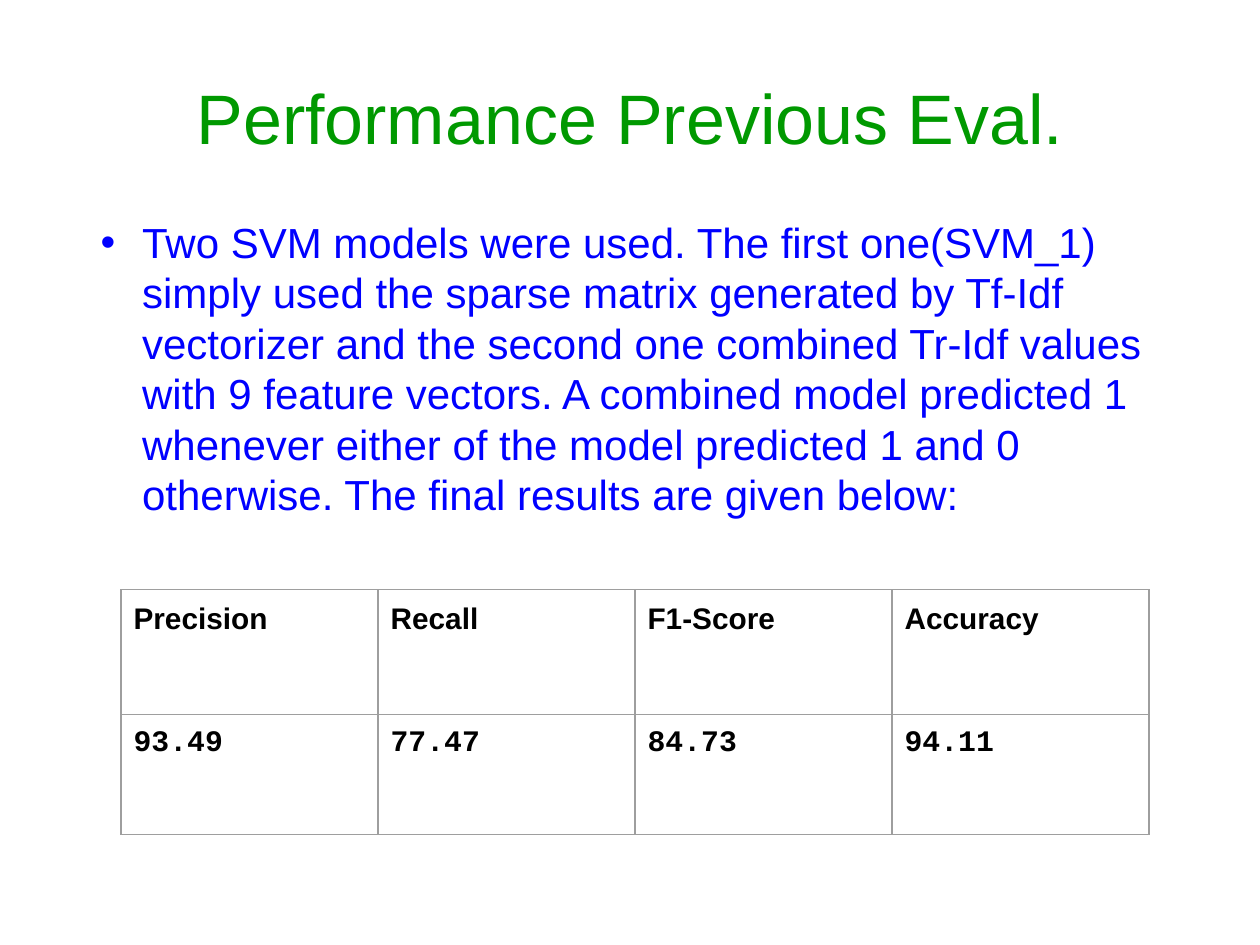
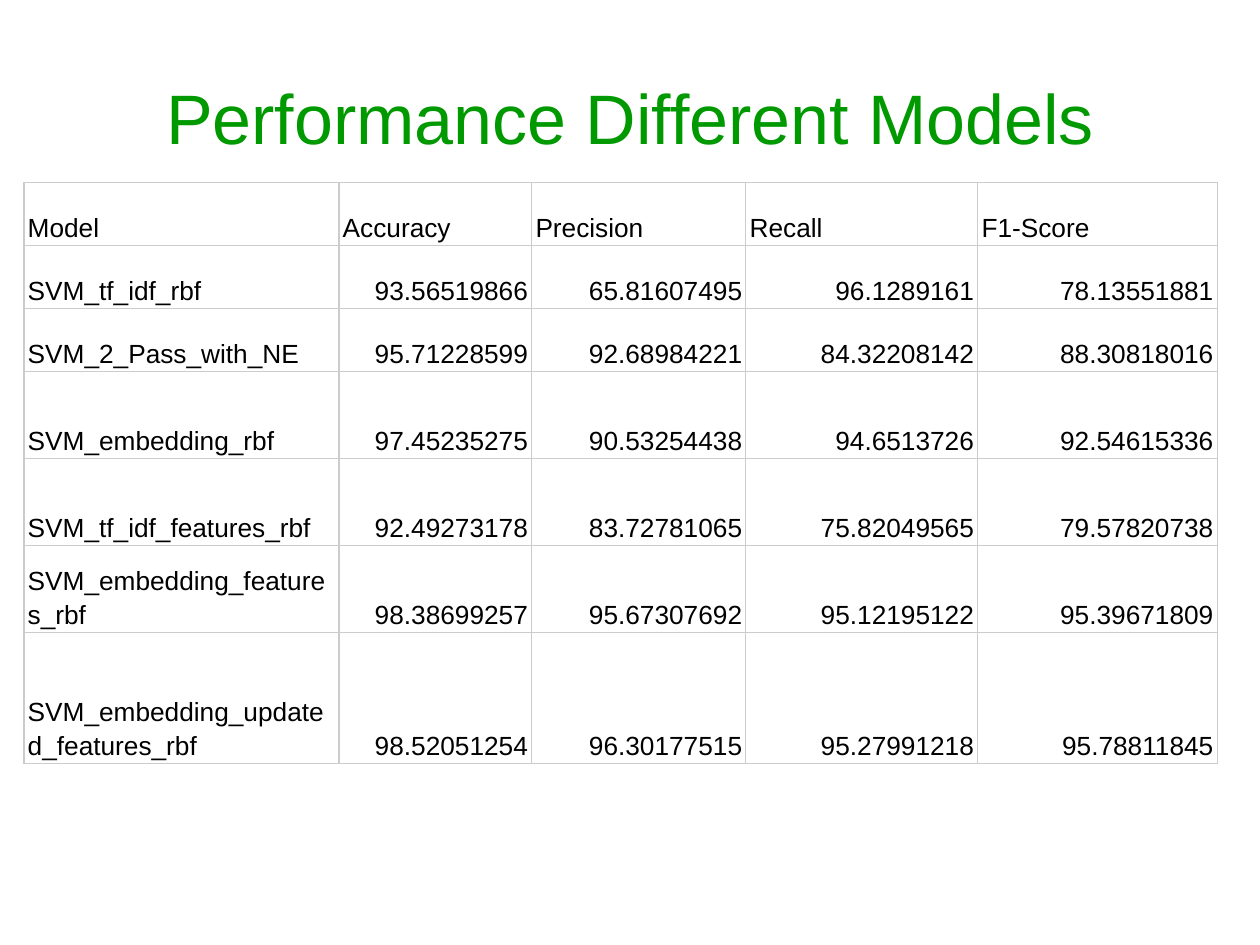
from dataclasses import dataclass

from lxml import etree
from pptx import Presentation
from pptx.dml.color import RGBColor
from pptx.enum.text import MSO_ANCHOR, MSO_AUTO_SIZE, PP_ALIGN
from pptx.oxml.ns import qn
from pptx.slide import Slide
from pptx.table import _Cell
from pptx.text.text import TextFrame
from pptx.util import Inches, Pt

LEFT, CENTER, RIGHT = PP_ALIGN.LEFT, PP_ALIGN.CENTER, PP_ALIGN.RIGHT
TOP, MIDDLE, BOTTOM = MSO_ANCHOR.TOP, MSO_ANCHOR.MIDDLE, MSO_ANCHOR.BOTTOM
NO_FIT = MSO_AUTO_SIZE.NONE

GREEN, BLUE, BLACK, WHITE = "009900", "0000FF", "000000", "FFFFFF"
SANS, MONO = "Arial", "Courier New"
TITLE_ONLY = 5

INTRO = (
    "Two SVM models were used. The first one(SVM_1) simply used the sparse matrix "
    "generated by Tf-Idf vectorizer and the second one combined Tr-Idf values with "
    "9 feature vectors. A combined model predicted 1 whenever either of the model "
    "predicted 1 and 0 otherwise. The final results are given below:"
)


@dataclass
class Grid:
    """A table: place, track sizes, content and look, in inches and points."""
    left: float
    top: float
    cols: list[float]
    rows: list[float]
    data: list[list[str]]
    line: str
    size: int
    pad: tuple[float, float]
    anchor: MSO_ANCHOR
    space: float = 1.0
    bold: bool = False
    body_font: str = SANS
    value_align: PP_ALIGN = LEFT


SCORES = Grid(
    0.96, 4.68, [2.04] * 4, [0.99, 0.95],
    [["Precision", "Recall", "F1-Score", "Accuracy"],
     ["93.49", "77.47", "84.73", "94.11"]],
    line="9E9E9E", size=17, pad=(0.1, 0.1), anchor=TOP, bold=True, body_font=MONO,
)

MODELS = Grid(
    0.19, 1.45, [2.5, 1.53, 1.7, 1.84, 1.9], [0.5] * 3 + [0.69] * 3 + [1.04],
    [["Model", "Accuracy", "Precision", "Recall", "F1-Score"],
     ["SVM_tf_idf_rbf", "93.56519866", "65.81607495", "96.1289161", "78.13551881"],
     ["SVM_2_Pass_with_NE", "95.71228599", "92.68984221", "84.32208142", "88.30818016"],
     ["SVM_embedding_rbf", "97.45235275", "90.53254438", "94.6513726", "92.54615336"],
     ["SVM_tf_idf_features_rbf", "92.49273178", "83.72781065", "75.82049565", "79.57820738"],
     ["SVM_embedding_features_rbf", "98.38699257", "95.67307692", "95.12195122", "95.39671809"],
     ["SVM_embedding_updated_features_rbf", "98.52051254", "96.30177515", "95.27991218",
      "95.78811845"]],
    line="CCCCCC", size=15, pad=(0.03, 0.02), anchor=BOTTOM, space=1.15, value_align=RIGHT,
)


def rgb(code: str) -> RGBColor:
    return RGBColor.from_string(code)


def write(frame: TextFrame, text: str, *, size: float, color: str = BLACK, font: str = SANS,
          bold: bool = False, align: PP_ALIGN = LEFT, space: float = 1.0,
          before: float = 0, bullet: bool = False) -> None:
    frame.word_wrap = True
    para = frame.paragraphs[0]
    para.alignment, para.line_spacing, para.space_before = align, space, Pt(before)
    run = para.add_run()
    run.text = text
    run.font.name, run.font.size, run.font.bold = font, Pt(size), bold
    run.font.color.rgb = rgb(color)
    if bullet:
        props = para._p.get_or_add_pPr()
        props.set("marL", str(Inches(0.5)))
        props.set("indent", str(Inches(-0.33)))
        tint = etree.SubElement(props, qn("a:buClr"))
        etree.SubElement(tint, qn("a:srgbClr"), val=color)
        etree.SubElement(props, qn("a:buFont"), typeface=font)
        etree.SubElement(props, qn("a:buChar"), char="•")


def add_page(deck: Presentation, title: str) -> Slide:
    page = deck.slides.add_slide(deck.slide_layouts[TITLE_ONLY])
    head = page.shapes.title
    head.left, head.top = Inches(0.5), Inches(0.3)
    head.width, head.height = Inches(9), Inches(1.25)
    frame = head.text_frame
    frame.auto_size, frame.vertical_anchor = NO_FIT, MIDDLE
    write(frame, title, size=40, color=GREEN, align=CENTER)
    return page


def add_point(page: Slide, text: str) -> None:
    box = page.shapes.add_textbox(Inches(0.53), Inches(1.67), Inches(9), Inches(2.7))
    write(box.text_frame, text, size=24, color=BLUE, before=4.8, bullet=True)


def add_border(cell: _Cell, color: str) -> None:
    props = cell._tc.get_or_add_tcPr()
    for spot, side in enumerate("LRTB"):
        edge = etree.Element(qn(f"a:ln{side}"), w=str(Pt(0.75)))
        fill = etree.SubElement(edge, qn("a:solidFill"))
        etree.SubElement(fill, qn("a:srgbClr"), val=color)
        props.insert(spot, edge)


def add_grid(page: Slide, grid: Grid) -> None:
    table = page.shapes.add_table(
        len(grid.rows), len(grid.cols), Inches(grid.left), Inches(grid.top),
        Inches(sum(grid.cols)), Inches(sum(grid.rows))).table
    table.first_row = table.horz_banding = False
    for col, width in zip(table.columns, grid.cols):
        col.width = Inches(width)
    for row, height in zip(table.rows, grid.rows):
        row.height = Inches(height)
    for r, texts in enumerate(grid.data):
        for c, text in enumerate(texts):
            cell = table.cell(r, c)
            cell.margin_left = cell.margin_right = Inches(grid.pad[0])
            cell.margin_top = cell.margin_bottom = Inches(grid.pad[1])
            cell.vertical_anchor = grid.anchor
            cell.fill.solid()
            cell.fill.fore_color.rgb = rgb(WHITE)
            add_border(cell, grid.line)
            write(cell.text_frame, text, size=grid.size, bold=grid.bold, space=grid.space,
                  font=grid.body_font if r else SANS,
                  align=grid.value_align if r and c else LEFT)


def main() -> None:
    deck = Presentation()
    deck.slide_width, deck.slide_height = Inches(10), Inches(7.5)
    page = add_page(deck, "Performance Previous Eval.")
    add_point(page, INTRO)
    add_grid(page, SCORES)
    page = add_page(deck, "Performance Different Models")
    add_grid(page, MODELS)
    deck.save("out.pptx")


if __name__ == "__main__":
    main()
